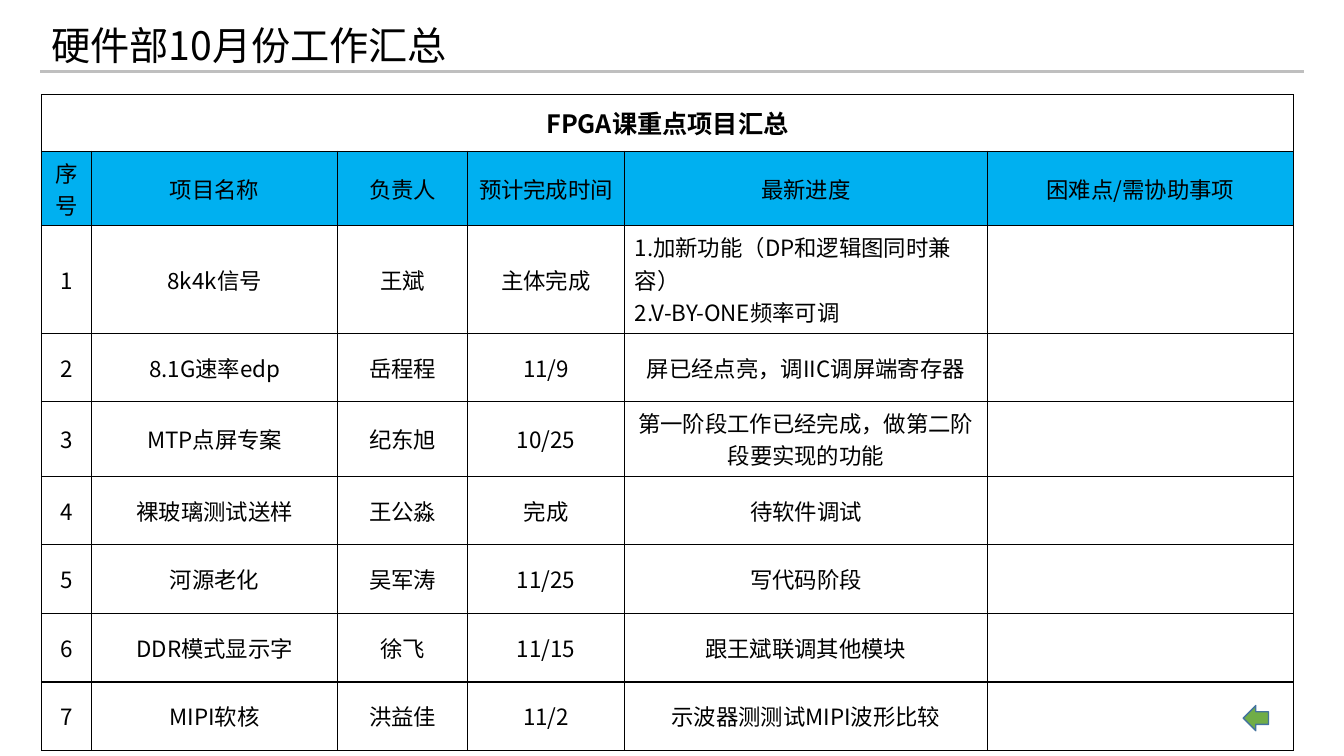
from dataclasses import dataclass

from lxml.etree import SubElement
from pptx import Presentation
from pptx.dml.color import RGBColor
from pptx.enum.shapes import MSO_CONNECTOR, MSO_SHAPE
from pptx.enum.text import MSO_ANCHOR, PP_ALIGN
from pptx.oxml.ns import qn
from pptx.util import Inches, Pt


@dataclass(frozen=True)
class Theme:
    """Colours, font and type sizes of the slide."""
    font: str = "Noto Sans CJK SC"
    ink: str = "000000"
    rule: str = "BFBFBF"
    header: str = "00B0F0"
    arrow: str = "70AD47"
    arrow_line: str = "43739E"
    title_size: float = 28
    caption_size: float = 18
    body_size: float = 16


THEME = Theme()
SLIDE_W, SLIDE_H = Inches(13.33), Inches(7.5)

CAPTION = "FPGA课重点项目汇总"
HEADINGS = ("序号", "项目名称", "负责人", "预计完成时间", "最新进度", "困难点/需协助事项")
PROJECTS = (
    ("8k4k信号", "王斌", "主体完成", "1.加新功能（DP和逻辑图同时兼容）\n2.V-BY-ONE频率可调"),
    ("8.1G速率edp", "岳程程", "11/9", "屏已经点亮，调IIC调屏端寄存器"),
    ("MTP点屏专案", "纪东旭", "10/25", "第一阶段工作已经完成，做第二阶段要实现的功能"),
    ("裸玻璃测试送样", "王公淼", "完成", "待软件调试"),
    ("河源老化", "吴军涛", "11/25", "写代码阶段"),
    ("DDR模式显示字", "徐飞", "11/15", "跟王斌联调其他模块"),
    ("MIPI软核", "洪益佳", "11/2", "示波器测测试MIPI波形比较"),
)
COLUMN_SHARES = (4.02, 19.63, 10.38, 12.55, 28.96, 24.46)  # % of table width
ONE_LINE, TWO_LINES, THREE_LINES = 9.07, 9.87, 14.2  # row heights, % of slide height
ROW_SHARES = (7.47, TWO_LINES, THREE_LINES, ONE_LINE, TWO_LINES) + (ONE_LINE,) * 4


def across(share):
    """Length of a percentage of the slide width."""
    return round(SLIDE_W * share / 100)


def down(share):
    """Length of a percentage of the slide height."""
    return round(SLIDE_H * share / 100)


def box(left, top, width, height):
    """Turn four slide percentages into a position and size."""
    return across(left), down(top), across(width), down(height)


def style_text(tf, size, bold=False, align=PP_ALIGN.LEFT):
    """Format every paragraph and run of a text frame."""
    for p in tf.paragraphs:
        p.alignment = align
        for r in p.runs:
            r.font.size, r.font.bold = Pt(size), bold
            r.font.name = THEME.font
            r.font.color.rgb = RGBColor.from_string(THEME.ink)
            SubElement(r.font._element, qn("a:ea"), typeface=THEME.font)


def add_title(s, text):
    """Add the heading at the top of the slide."""
    tf = s.shapes.add_textbox(*box(3.08, 2.13, 70, 8.27)).text_frame
    tf.word_wrap = True
    tf.vertical_anchor = MSO_ANCHOR.MIDDLE
    tf.text = text
    style_text(tf, THEME.title_size)
    tf.paragraphs[0].line_spacing = 0.9


def add_rule(s):
    """Add the grey line under the heading."""
    y = down(9.47)
    line = s.shapes.add_connector(MSO_CONNECTOR.STRAIGHT, across(3), y, across(97), y)
    line.line.color.rgb = RGBColor.from_string(THEME.rule)
    line.line.width = Pt(2.25)
    SubElement(line._element.spPr, qn("a:effectLst"))


def add_borders(cell):
    """Draw a thin line on all four sides of a cell."""
    props = cell._tc.get_or_add_tcPr()
    for i, side in enumerate(("lnL", "lnR", "lnT", "lnB")):
        ln = SubElement(props, qn("a:" + side), w=str(Pt(1)))
        fill = SubElement(ln, qn("a:solidFill"))
        SubElement(fill, qn("a:srgbClr"), val=THEME.ink)
        props.insert(i, ln)


def fill_cell(cell, text, size, bold=False, color=None):
    """Set the text, fill and borders of one cell."""
    cell.text = text
    cell.vertical_anchor = MSO_ANCHOR.MIDDLE
    align = PP_ALIGN.LEFT if "\n" in text else PP_ALIGN.CENTER
    style_text(cell.text_frame, size, bold, align)
    if color:
        cell.fill.solid()
        cell.fill.fore_color.rgb = RGBColor.from_string(color)
    else:
        cell.fill.background()
    add_borders(cell)


def add_project_table(s):
    """Add the table of projects under a merged caption row."""
    numbered = [(str(n), *project, "") for n, project in enumerate(PROJECTS, 1)]
    rows = [(CAPTION,) + ("",) * 5, HEADINGS, *numbered]
    place = box(3.08, 12.53, 93.17, sum(ROW_SHARES))
    table = s.shapes.add_table(len(rows), len(HEADINGS), *place).table
    for column, share in zip(table.columns, COLUMN_SHARES):
        column.width = round(place[2] * share / 100)
    for row, share in zip(table.rows, ROW_SHARES):
        row.height = down(share)
    for i, texts in enumerate(rows):
        size = THEME.body_size if i else THEME.caption_size
        color = THEME.header if i == 1 else None
        for j, text in enumerate(texts):
            fill_cell(table.cell(i, j), text, size, i == 0, color)
    table.cell(0, 0).merge(table.cell(0, len(HEADINGS) - 1))


def add_back_arrow(s):
    """Add the small green arrow in the lower right corner."""
    sp = s.shapes.add_shape(MSO_SHAPE.LEFT_ARROW, *box(92.5, 93.33, 1.88, 3.33))
    sp.shadow.inherit = False
    sp.fill.solid()
    sp.fill.fore_color.rgb = RGBColor.from_string(THEME.arrow)
    sp.line.color.rgb = RGBColor.from_string(THEME.arrow_line)
    sp.line.width = Pt(1)


def main():
    """Build the slide and save it."""
    prs = Presentation()
    prs.slide_width, prs.slide_height = SLIDE_W, SLIDE_H
    s = prs.slides.add_slide(prs.slide_layouts[6])
    add_rule(s)
    add_title(s, "硬件部10月份工作汇总")
    add_project_table(s)
    add_back_arrow(s)
    prs.save("out.pptx")


main()
